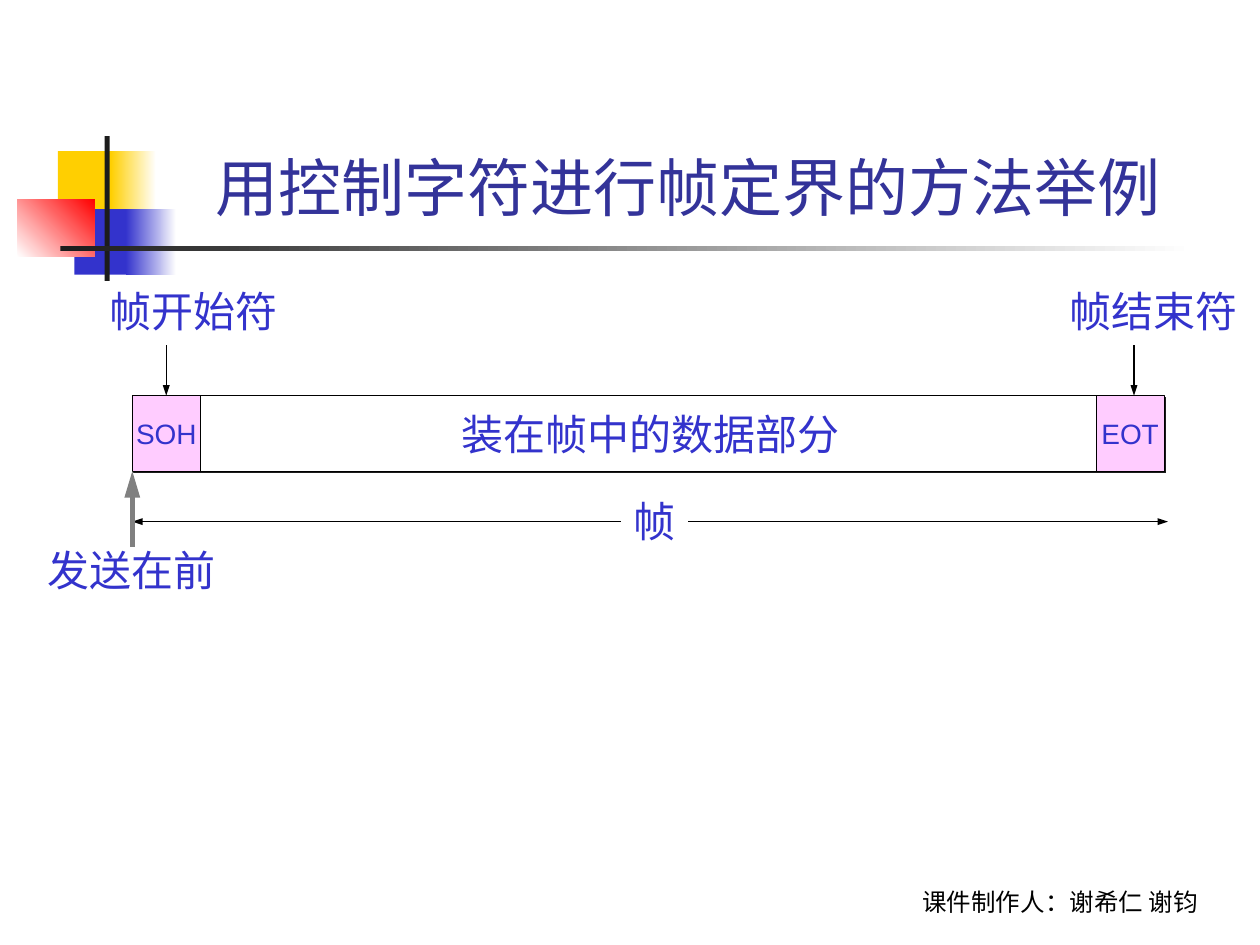
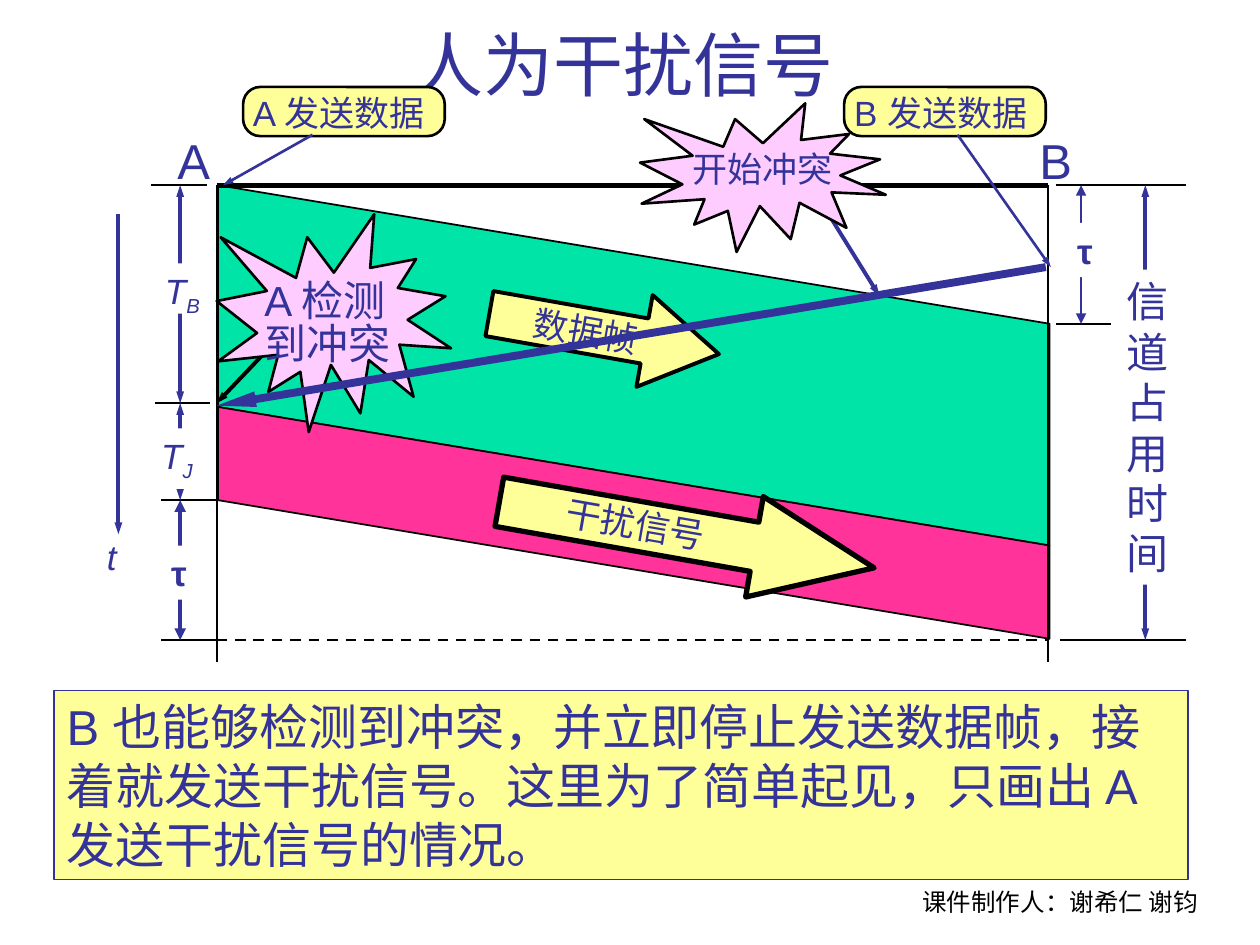
from lxml import etree
from pptx import Presentation
from pptx import util as u
from pptx.dml.color import RGBColor
from pptx.enum import dml, shapes, text
from pptx.oxml.ns import qn

BLACK = RGBColor(0x00, 0x00, 0x00)
WHITE = RGBColor(0xFF, 0xFF, 0xFF)
INK = RGBColor(0x1C, 0x1C, 0x1C)
GREY = RGBColor(0x80, 0x80, 0x80)
NAVY = RGBColor(0x33, 0x33, 0x99)
BLUE = RGBColor(0x33, 0x33, 0xCC)
GOLD = RGBColor(0xFF, 0xCF, 0x01)
RED = RGBColor(0xFF, 0x00, 0x00)
PINK = RGBColor(0xFF, 0xCC, 0xFF)
YELLOW = RGBColor(0xFF, 0xFF, 0x99)
GREEN = RGBColor(0x00, 0xE4, 0xA8)
MAGENTA = RGBColor(0xFF, 0x33, 0x99)

KIND = shapes.MSO_SHAPE
LEFT = text.PP_ALIGN.LEFT
CENTER = text.PP_ALIGN.CENTER
TOP = text.MSO_ANCHOR.TOP
MIDDLE = text.MSO_ANCHOR.MIDDLE
BOTTOM = text.MSO_ANCHOR.BOTTOM
CM_PER_UNIT = 2.54

FRAME_LEFT, FRAME_RIGHT = 1.05, 9.27
FRAME_TOP, FRAME_HEIGHT = 3.14, 0.6
FRAME_BOTTOM = FRAME_TOP + FRAME_HEIGHT
FLAG_WIDTH = 0.54

STATION_A, STATION_B = 1.72, 8.32
SEND_START, DETECTED, JAM_SENT, CHANNEL_FREE = 1.47, 3.2, 3.97, 5.08
DELAY = 1.1
SCALE_A, SCALE_B, SCALE_CHANNEL = 1.43, 8.58, 9.09


def cm(*units):
    """Convert layout units to lengths."""
    return [u.Cm(unit * CM_PER_UNIT) for unit in units]


def paint(box, fill=None, line=None, weight=0.75):
    """Give a box a solid fill and an outline, or none."""
    if fill is None:
        box.fill.background()
    else:
        box.fill.solid()
        box.fill.fore_color.rgb = fill
    if line is None:
        box.line.fill.background()
    else:
        box.line.color.rgb = line
        box.line.width = u.Pt(weight)


def add_box(page, kind, at, fill, line=None, weight=0.75, turn=0, adjust=()):
    """Add a preset shape without a shadow."""
    box = page.shapes.add_shape(kind, *cm(*at))
    box.shadow.inherit = False
    paint(box, fill, line, weight)
    box.rotation = turn
    for index, value in enumerate(adjust):
        box.adjustments[index] = value
    return box


def write(box, words, size, color, align=LEFT, anchor=TOP, wrap=False,
          font="Arial", bold=None, italic=None, spacing=None):
    """Fill a box with text, one paragraph per line."""
    frame = box.text_frame
    frame.text = words
    frame.word_wrap = wrap
    frame.vertical_anchor = anchor
    for para in frame.paragraphs:
        para.alignment = align
        para.line_spacing = spacing
        para.font.name = font
        para.font.size = u.Pt(size)
        para.font.color.rgb = color
        para.font.bold = bold
        para.font.italic = italic


def add_label(page, at, words, size=20, color=NAVY, fill=None, line=None,
              turn=0, grow=True, **style):
    """Add a text box."""
    box = page.shapes.add_textbox(*cm(*at))
    paint(box, fill, line)
    box.rotation = turn
    write(box, words, size, color, **style)
    if grow:
        box.text_frame.auto_size = text.MSO_AUTO_SIZE.SHAPE_TO_FIT_TEXT
    return box


def add_line(page, start, end, color=BLACK, weight=1.0, ends=(), barb=("sm", "med"),
             dash=None):
    """Add a line with arrowheads at the named ends; barb is their width and length."""
    line = page.shapes.add_connector(shapes.MSO_CONNECTOR.STRAIGHT, *cm(*start, *end))
    line.line.color.rgb = color
    line.line.width = u.Pt(weight)
    if dash:
        line.line.dash_style = dash
    outline = line.element.spPr.find(qn("a:ln"))
    width, length = barb
    for name in ends:
        etree.SubElement(outline, qn(f"a:{name}End"), type="triangle", w=width, len=length)
    etree.SubElement(line.element.spPr, qn("a:effectLst"))


def add_fade(page, at, first, last, angle=0):
    """Add a rectangle that fades from one colour to another."""
    box = add_box(page, KIND.RECTANGLE, at, first)
    box.fill.gradient()
    box.fill.gradient_angle = angle
    for stop, color in zip(box.fill.gradient_stops, (first, last)):
        stop.color.rgb = color


def add_title(page, at, words, size):
    """Add the slide title."""
    add_label(page, at, words, size, grow=False, align=CENTER, anchor=BOTTOM, wrap=True)


def add_footer(page):
    """Add the courseware credit."""
    add_label(page, (6.83, 6.82, 3.17, 0.5), "课件制作人：谢希仁 谢钧", 14, BLACK,
              grow=False, align=CENTER, anchor=BOTTOM, wrap=True, font="Cabin")


def add_ornament(page):
    """Add the coloured squares and the rules beside the title."""
    for color, solid_at, fade_at in (
            (GOLD, (0.46, 1.2, 0.48, 0.52), (0.88, 1.2, 0.36, 0.52)),
            (BLUE, (0.59, 1.66, 0.46, 0.52), (1, 1.66, 0.4, 0.52))):
        add_box(page, KIND.RECTANGLE, solid_at, color)
        add_fade(page, fade_at, color, WHITE)
    add_fade(page, (0.14, 1.58, 0.61, 0.46), WHITE, RED, 45)
    add_box(page, KIND.RECTANGLE, (0.83, 1.08, 0.04, 1.15), INK)
    add_fade(page, (0.48, 1.95, 9, 0.04), INK, WHITE)


def add_field(page, left, width, words, size, fill):
    """Add a field of the frame with a hard shadow."""
    at = (left, FRAME_TOP, width, FRAME_HEIGHT)
    box = add_box(page, KIND.RECTANGLE, at, fill, BLACK)
    write(box, words, size, BLUE, CENTER, MIDDLE)
    effects = box.element.spPr.find(qn("a:effectLst"))
    shadow = etree.SubElement(effects, qn("a:outerShdw"), blurRad="0",
                              dist=str(u.Pt(1.4)), dir="2700000", algn="ctr",
                              rotWithShape="0")
    etree.SubElement(shadow, qn("a:srgbClr"), val=str(INK))


def build_framing(page):
    """Build the slide on frame delimiting."""
    add_ornament(page)
    add_footer(page)
    add_title(page, (1.26, 0.23, 8.52, 1.6), "用控制字符进行帧定界的方法举例 ", 36)
    for left, width, words, size, fill in (
            (FRAME_LEFT, FLAG_WIDTH, "SOH", 16, PINK),
            (FRAME_LEFT + FLAG_WIDTH, 7.14, "装在帧中的数据部分", 24, WHITE),
            (8.7, FLAG_WIDTH, "EOT", 16, PINK)):
        add_field(page, left, width, words, size, fill)

    extent_y = FRAME_BOTTOM + 0.4
    add_line(page, (FRAME_LEFT, extent_y), (FRAME_RIGHT, extent_y), weight=0.75,
             ends=("head", "tail"))
    add_label(page, (4.93, 3.88, 0.53, 0.5), "帧", 24, BLUE, WHITE)

    for flag_x in (FRAME_LEFT + FLAG_WIDTH / 2, 9):
        add_line(page, (flag_x, FRAME_TOP - 0.4), (flag_x, FRAME_TOP), weight=0.75,
                 ends=("tail",))
    add_line(page, (FRAME_LEFT, FRAME_BOTTOM + 0.6), (FRAME_LEFT, FRAME_BOTTOM), GREY, 3,
             ("tail",), ("med", "lg"))
    for left, top, words in ((0.77, 2.22, "帧开始符"), (8.39, 2.22, "帧结束符"),
                             (0.28, 4.27, "发送在前")):
        add_label(page, (left, top, 1.53, 0.5), words, 24, BLUE)


def add_band(page, start, duration, fill):
    """Add a signal that leaves A at start and reaches B one delay later."""
    span = STATION_B - STATION_A
    height = duration + DELAY
    middle_x, middle_y = (STATION_A + STATION_B) / 2 + 0.01, start + height / 2
    at = (middle_x - height / 2, middle_y - span / 2, height, span)
    add_box(page, KIND.PARALLELOGRAM, at, fill, BLACK, 1, 90, [DELAY / height])


def add_flow_arrow(page, at, weight, head):
    """Add a block arrow that follows the slope of the signals."""
    return add_box(page, KIND.RIGHT_ARROW, at, YELLOW, BLACK, weight, 10, [0.49, head])


def add_signals(page):
    """Add the data and jamming signals with their block arrows."""
    add_band(page, SEND_START, 1.76, GREEN)
    data = add_flow_arrow(page, (3.87, 2.28, 1.85, 0.74), 2.25, 0.81)
    write(data, "数据帧", 20, NAVY, CENTER, MIDDLE)
    add_band(page, DETECTED + 0.03, 0.74, MAGENTA)
    add_flow_arrow(page, (3.94, 3.84, 3.02, 0.81), 3, 1.19)
    add_label(page, (4.39, 3.94, 1.31, 0.44), "干扰信号", turn=9.9)


def add_stations(page):
    """Add the channel, the time lines of A and B, and the time direction."""
    add_line(page, (STATION_A, SEND_START), (STATION_B, SEND_START), weight=3)
    add_line(page, (STATION_A, CHANNEL_FREE), (STATION_B, CHANNEL_FREE), weight=1.5,
             dash=dml.MSO_LINE.DASH)
    for name, x, label_left in (("A", STATION_A, 1.31), ("B", STATION_B, 8.15)):
        add_line(page, (x, SEND_START), (x, 5.25))
        add_label(page, (label_left, 0.99, 0.46, 0.56), name, 28)
    add_line(page, (0.94, 1.7), (0.94, 4.24), NAVY, 2.25, ("tail",))
    add_label(page, (0.75, 4.2, 0.27, 0.44), "t", italic=True)


def add_duration(page, at, subscript):
    """Add the symbol T with a subscript."""
    box = add_label(page, at, "T", fill=WHITE, italic=True)
    span = box.text_frame.paragraphs[0].add_run()
    span.text = subscript
    span.font.italic = True
    span.font.color.rgb = NAVY
    for properties in box.element.findall(f".//{qn('a:r')}/{qn('a:rPr')}")[-1:]:
        properties.set("baseline", "-25000")


def add_intervals(page):
    """Add the ticks, the measuring arrows and their symbols."""
    for left, right, y in ((1.2, 1.64, SEND_START), (1.23, 1.67, DETECTED),
                           (1.28, STATION_A, JAM_SENT), (1.28, STATION_A, CHANNEL_FREE),
                           (8.38, 9.41, SEND_START), (8.38, 8.82, SEND_START + DELAY),
                           (8.41, 9.41, CHANNEL_FREE)):
        add_line(page, (left, y), (right, y))
    for x, top, bottom, weight, head_width in (
            (SCALE_A, SEND_START, DETECTED, 2.25, "sm"),
            (SCALE_A, DETECTED, JAM_SENT, 2.25, "sm"),
            (SCALE_A, JAM_SENT, CHANNEL_FREE, 2.25, "med"),
            (SCALE_B, SEND_START, SEND_START + DELAY, 1.5, "med"),
            (SCALE_CHANNEL, SEND_START, CHANNEL_FREE, 2.25, "sm")):
        add_line(page, (x, top), (x, bottom), NAVY, weight, ("head", "tail"),
                 (head_width, "med"))
    for left, top in ((1.26, 4.33), (8.45, 1.77)):
        add_label(page, (left, top, 0.32, 0.43), "τ", fill=WHITE, bold=True)
    add_duration(page, (1.21, 2.09, 0.48, 0.4), "B")
    add_duration(page, (1.18, 3.4, 0.45, 0.48), "J")
    add_label(page, (8.84, 2.14, 0.53, 2.5), "\n".join("信道占用时间"), 24, fill=WHITE)


def add_sender(page, left, words, start, end):
    """Add a rounded sender note with its pointer."""
    add_box(page, KIND.ROUNDED_RECTANGLE, (left, 0.69, 1.6, 0.39), YELLOW, BLACK, 1.5,
            adjust=[0.35])
    add_label(page, (left - 0.02, 0.68, 1.64, 0.44), words)
    add_line(page, start, end, NAVY, 1.5, ("tail",))


def add_burst(page, at, label_at, words, pointer, color, **style):
    """Add a collision burst with its pointer behind it and its caption."""
    add_line(page, *pointer, color, 2.25, ("tail",))
    add_box(page, KIND.EXPLOSION1, at, PINK, BLACK, 1.5)
    add_label(page, label_at, words, **style)


def build_jamming(page):
    """Build the slide on the jamming signal."""
    add_signals(page)
    add_title(page, (0.75, 0.13, 8.52, 0.76), "人为干扰信号 ", 40)
    add_stations(page)
    add_intervals(page)
    add_sender(page, 6.7, "B 发送数据", (7.6, 1.07), (8.34, 2.12))
    add_burst(page, (1.72, 1.7, 1.86, 1.73), (2, 2.19, 1.26, 0.78), "A 检测\n到冲突",
              ((2.31, 2.58), (STATION_A, DETECTED)), BLACK, size=24, spacing=0.85)
    add_burst(page, (5.08, 0.82, 1.95, 1.18), (5.4, 1.12, 1.31, 0.44), "开始冲突",
              ((6.57, 1.69), (6.98, 2.35)), NAVY)
    add_sender(page, 1.93, "A 发送数据", (2.48, 1.07), (1.77, SEND_START))
    add_line(page, (8.3, 2.12), (STATION_A, 3.22), NAVY, 4.5, ("tail",), ("sm", "lg"))
    add_label(page, (0.43, 5.48, 9, 1.5),
              "B 也能够检测到冲突，并立即停止发送数据帧，接着就发送干扰信号。"
              "这里为了简单起见，只画出 A 发送干扰信号的情况。",
              28, fill=YELLOW, line=NAVY, wrap=True)
    add_footer(page)


def main():
    """Build and save the deck."""
    deck = Presentation()
    deck.slide_width, deck.slide_height = cm(10, 7.5)
    blank = deck.slide_layouts[6]
    for build in (build_framing, build_jamming):
        build(deck.slides.add_slide(blank))
    deck.save("out.pptx")


if __name__ == "__main__":
    main()
